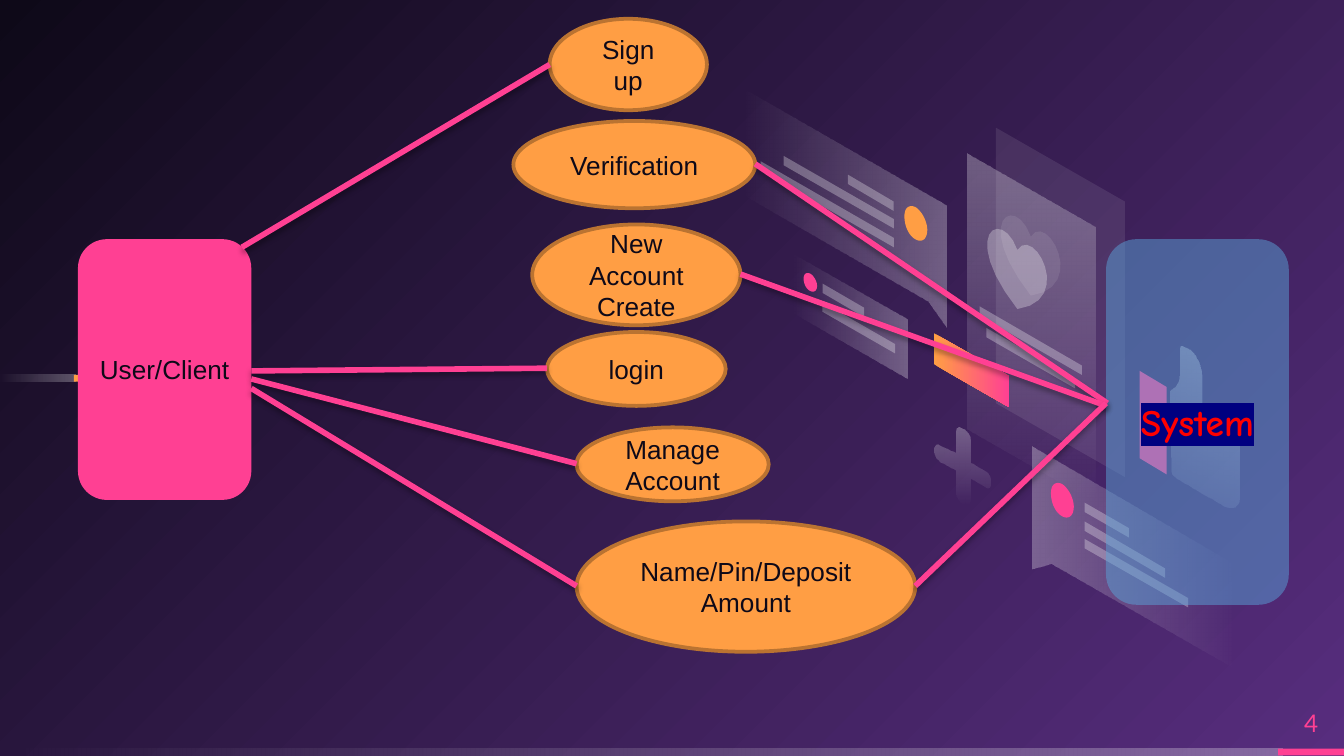
from dataclasses import dataclass
from typing import Optional
from lxml import etree
from pptx import Presentation
from pptx.dml.color import RGBColor
from pptx.enum import shapes, text
from pptx.oxml import ns
from pptx import util as u

PX = 9144
SLOPE = 0.577
WHITE = RGBColor(0xFF, 0xFF, 0xFF)
BLACK = RGBColor(0x00, 0x00, 0x00)
INK = RGBColor(0x0E, 0x09, 0x18)
VIOLET = RGBColor(0x57, 0x2D, 0x7E)
PINK = RGBColor(0xFF, 0x40, 0x93)
ORANGE = RGBColor(0xFF, 0x9E, 0x44)
BROWN = RGBColor(0xBA, 0x73, 0x31)
BLUE = RGBColor(0x5A, 0xA5, 0xDA)
RED = RGBColor(0xFF, 0x00, 0x00)
NAVY = RGBColor(0x00, 0x00, 0x80)
Point = tuple[int, int]

@dataclass(frozen=True)
class Tint:
    color: RGBColor
    alpha: int = 100

@dataclass(frozen=True)
class Fade:
    start: Tint
    end: Tint
    angle: Optional[int] = None

@dataclass(frozen=True)
class Box:
    x: int
    y: int
    w: int
    h: int

@dataclass(frozen=True)
class Label:
    words: str
    size: int = 14
    font: str = "Arial"
    color: RGBColor = INK
    highlight: Optional[RGBColor] = None

@dataclass(frozen=True)
class Outline:
    steps: tuple
    paint: Tint | Fade

@dataclass(frozen=True)
class UseCase:
    box: Box
    words: str
    client_end: Optional[Point] = None
    system_end: Optional[Point] = None

GLASS, FAINT, CLEAR = Tint(WHITE, 29), Tint(WHITE, 9), Tint(WHITE, 0)
FADE_LEFT, FADE_DOWN, FADE_RIGHT = (Fade(GLASS, CLEAR, angle) for angle in (180, 90, 0))

def slant(x: int, y: int, w: int, h: int = 7, paint: Tint | Fade = GLASS) -> Outline:
    drop = round(w * SLOPE)
    return Outline(((x, y), (x + w, y + drop), (x + w, y + drop + h), (x, y + h)), paint)

def heart(x: int, y: int, paint: Tint) -> Outline:
    return Outline(((x, y), (x - 44, y - 56, x - 12, y - 77, x, y - 44),
                    (x + 12, y - 63, x + 43, y - 6, x, y)), paint)

def disc(box: Box, color: RGBColor) -> Outline:
    unit = ((0, 8), (0, 15, 3, 22, 8, 25), (13, 28, 17, 25, 17, 18),
            (17, 12, 13, 4, 8, 1), (3, -1, 0, 2, 0, 8))
    steps = tuple(tuple(box.y + v * box.h / 26 if i % 2 else box.x + v * box.w / 17
                        for i, v in enumerate(step)) for step in unit)
    return Outline(steps, Tint(color))

THUMB = ((890, 266), (886, 259, 880, 258, 879, 258), (879, 258, 878, 259, 878, 260),
         (878, 278), (878, 284, 876, 288, 872, 290), (871, 291), (872, 350),
         (872, 352, 873, 354, 875, 355), (884, 361, 910, 376, 910, 376),
         (917, 380, 921, 377, 922, 369), (922, 332), (922, 327, 921, 321, 918, 316),
         (916, 314, 914, 312, 912, 310), (894, 300), (894, 283), (894, 276, 893, 271, 890, 266))
PLUS = ((716, 319), (719, 320, 722, 325, 722, 328), (722, 344), (732, 350),
        (735, 351, 737, 356, 737, 359), (737, 363, 735, 364, 732, 362), (722, 356),
        (722, 372), (722, 375, 719, 377, 716, 375), (713, 373, 711, 369, 711, 366),
        (711, 350), (700, 344), (697, 343, 695, 338, 695, 335),
        (695, 331, 697, 330, 700, 332), (711, 337), (711, 322), (711, 318, 713, 317, 716, 319))
LARGE_BUBBLE = ((704, 153), (552, 65), (552, 144), (690, 224), (704, 244))
LOWER_BUBBLE = ((768, 332), (919, 420), (920, 498), (782, 419), (768, 423))
ARTWORK = (
    slant(741, 95, 96, 205, FAINT), heart(767, 220, FAINT),
    slant(590, 189, 85, 44, FADE_LEFT), disc(Box(598, 203, 10, 14), PINK),
    slant(612, 211, 31), slant(612, 225, 54),
    slant(720, 114, 95, 205, FADE_DOWN), slant(729, 228, 76), slant(734, 244, 66),
    slant(695, 248, 56, 23, Fade(Tint(ORANGE), Tint(PINK), 0)),
    Outline(THUMB, Fade(Tint(WHITE, 40), FAINT, 110)), slant(848, 276, 20, 65, Tint(PINK)),
    Outline(LARGE_BUBBLE, FADE_LEFT), slant(631, 130, 34), slant(583, 116, 82),
    slant(566, 120, 99), disc(Box(673, 153, 17, 26), ORANGE),
    Outline(LOWER_BUBBLE, FADE_RIGHT), slant(807, 374, 33), slant(807, 388, 60),
    slant(807, 401, 77), disc(Box(782, 359, 17, 26), PINK),
    Outline(PLUS, FADE_DOWN), heart(757, 230, GLASS))
BARS = ((Box(0, 557, 954, 5), FADE_LEFT), (Box(951, 557, 49, 5), Tint(PINK)),
        (Box(0, 279, 56, 5), FADE_LEFT), (Box(55, 279, 23, 5), Tint(ORANGE)))
USE_CASES = (
    UseCase(Box(409, 14, 117, 68), "Sign up", client_end=(180, 184)),
    UseCase(Box(382, 90, 180, 65), "Verification", system_end=(824, 300)),
    UseCase(Box(396, 167, 155, 75), "New Account Create", system_end=(823, 302)),
    UseCase(Box(407, 247, 133, 55), "login", client_end=(187, 276)),
    UseCase(Box(429, 318, 143, 55), "Manage Account", client_end=(187, 282)),
    UseCase(Box(429, 388, 252, 97), "Name/Pin/Deposit Amount", (187, 289), (823, 300)))

def px(value: float) -> u.Emu:
    return u.Emu(round(value * PX))

def place(box: Box) -> tuple[u.Emu, ...]:
    return px(box.x), px(box.y), px(box.w), px(box.h)

def add(parent, tag: str, **attributes):
    return etree.SubElement(parent, ns.qn(tag), {k: str(v) for k, v in attributes.items()})

def add_color(parent, tint: Tint) -> None:
    color = add(parent, "a:srgbClr", val=tint.color)
    if tint.alpha < 100:
        add(color, "a:alpha", val=tint.alpha * 1000)

def apply_paint(fill, holder, paint: Tint | Fade) -> None:
    fill.solid()
    solid = holder.find(ns.qn("a:solidFill"))
    if isinstance(paint, Tint):
        add_color(solid, paint)
        return
    gradient = etree.Element(ns.qn("a:gradFill"), rotWithShape="1")
    stops = add(gradient, "a:gsLst")
    for position, tint in ((0, paint.start), (100000, paint.end)):
        add_color(add(stops, "a:gs", pos=position), tint)
    if paint.angle is None:
        add(add(gradient, "a:path", path="circle"), "a:fillToRect", l=100000, t=100000)
    else:
        add(gradient, "a:lin", ang=paint.angle * 60000, scaled=0)
    holder.replace(solid, gradient)

def finish(shape, paint: Tint | Fade) -> None:
    shape.shadow.inherit = False
    shape.line.fill.background()
    apply_paint(shape.fill, shape._element.spPr, paint)

def write(shape, label: Label) -> None:
    shape.text_frame.word_wrap = True
    shape.text_frame.vertical_anchor = text.MSO_ANCHOR.MIDDLE
    para = shape.text_frame.paragraphs[0]
    para.alignment = text.PP_ALIGN.CENTER
    span = para.add_run()
    span.text = label.words
    span.font.size, span.font.name = u.Pt(label.size), label.font
    span.font.color.rgb = label.color
    if label.highlight is not None:
        span.font.bold = True
        highlight = etree.Element(ns.qn("a:highlight"))
        add_color(highlight, Tint(label.highlight))
        span.font._element.find(ns.qn("a:solidFill")).addnext(highlight)

def draw_shape(page, kind, box: Box, paint: Tint | Fade, label: Optional[Label] = None):
    shape = page.shapes.add_shape(kind, *place(box))
    finish(shape, paint)
    if label:
        write(shape, label)
    return shape

def flatten(steps: tuple) -> list[tuple[float, ...]]:
    points = [steps[0]]
    for step in steps[1:]:
        if len(step) == 2:
            points.append(step)
            continue
        corners = (points[-1], step[:2], step[2:4], step[4:])
        for t in (n / 12 for n in range(1, 13)):
            weights = ((1 - t) ** 3, 3 * t * (1 - t) ** 2, 3 * t * t * (1 - t), t ** 3)
            points.append(tuple(sum(w * c[axis] for w, c in zip(weights, corners)) for axis in (0, 1)))
    return points

def draw_outline(page, outline: Outline) -> None:
    first, *rest = [(px(x), px(y)) for x, y in flatten(outline.steps)]
    builder = page.shapes.build_freeform(*first)
    builder.add_line_segments(rest, close=True)
    finish(builder.convert_to_shape(), outline.paint)

def draw_link(page, start: Point, end: Point) -> None:
    link = page.shapes.add_connector(shapes.MSO_CONNECTOR.STRAIGHT, *map(px, start + end))
    link.line.color.rgb, link.line.width = PINK, u.Pt(3)
    effects = add(link._element.spPr, "a:effectLst")
    add_color(add(effects, "a:outerShdw", blurRad=u.Pt(3.1), dist=u.Pt(1.8), dir=5400000), Tint(BLACK, 35))

def draw_use_case(page, case: UseCase) -> None:
    box, middle = case.box, case.box.y + case.box.h // 2
    oval = draw_shape(page, shapes.MSO_SHAPE.OVAL, box, Tint(ORANGE), Label(case.words))
    oval.line.color.rgb, oval.line.width = BROWN, u.Pt(2)
    if case.client_end:
        draw_link(page, case.client_end, (box.x, middle))
    if case.system_end:
        draw_link(page, (box.x + box.w, middle), case.system_end)

def main() -> None:
    deck = Presentation()
    deck.slide_width, deck.slide_height = px(1000), px(1000 * 9 / 16)
    page = deck.slides.add_slide(deck.slide_layouts[6])
    backdrop = page.background.fill
    apply_paint(backdrop, page._element.find(".//" + ns.qn("p:bgPr")), Fade(Tint(VIOLET), Tint(INK)))
    for box, paint in BARS:
        draw_shape(page, shapes.MSO_SHAPE.RECTANGLE, box, paint)
    number = page.shapes.add_textbox(*place(Box(951, 519, 49, 38)))
    frame = number.text_frame
    frame.margin_left = frame.margin_right = frame.margin_top = frame.margin_bottom = 0
    write(number, Label("4", 13, "Lato", PINK))
    for outline in ARTWORK:
        draw_outline(page, outline)
    rounded = shapes.MSO_SHAPE.ROUNDED_RECTANGLE
    draw_shape(page, rounded, Box(58, 178, 129, 194), Tint(PINK), Label("User/Client"))
    draw_shape(page, rounded, Box(823, 178, 136, 272), Tint(BLUE, 49), Label("System", 20, "Comic Neue", RED, NAVY))
    for case in USE_CASES:
        draw_use_case(page, case)
    deck.save("out.pptx")

if __name__ == "__main__":
    main()
